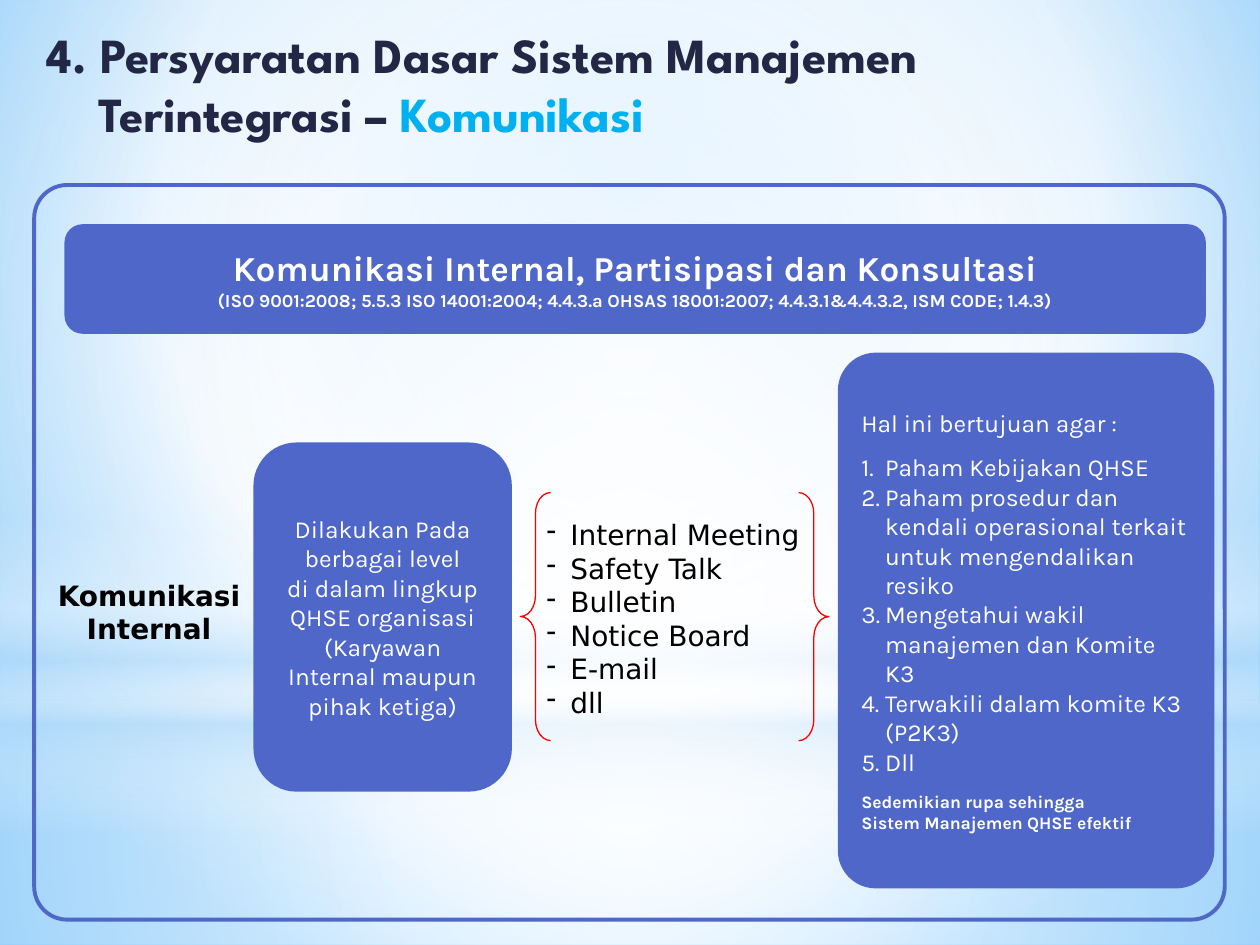
from lxml import etree
from pptx import Presentation
from pptx.dml.color import RGBColor
from pptx.enum.shapes import MSO_SHAPE
from pptx.enum.text import MSO_ANCHOR, MSO_AUTO_SIZE, PP_ALIGN
from pptx.oxml import parse_xml
from pptx.oxml.ns import nsdecls, qn
from pptx.util import Cm, Pt

RECTANGLE, OVAL = MSO_SHAPE.RECTANGLE, MSO_SHAPE.OVAL
ROUNDED, BRACE = MSO_SHAPE.ROUNDED_RECTANGLE, MSO_SHAPE.LEFT_BRACE
LEFT, CENTER = PP_ALIGN.LEFT, PP_ALIGN.CENTER
TOP, MIDDLE = MSO_ANCHOR.TOP, MSO_ANCHOR.MIDDLE
GROW = MSO_AUTO_SIZE.SHAPE_TO_FIT_TEXT

INDIGO = RGBColor(0x4E, 0x67, 0xC8)
NAVY = RGBColor(0x21, 0x27, 0x45)
CYAN = RGBColor(0x00, 0xB0, 0xF0)
RED = RGBColor(0xFF, 0x00, 0x00)
WHITE = RGBColor(0xFF, 0xFF, 0xFF)
BLACK = RGBColor(0x00, 0x00, 0x00)
PALE = RGBColor(0xB4, 0xDC, 0xFA)
SKY = RGBColor(0x9E, 0xD5, 0xFF)
AZURE = RGBColor(0x5B, 0xB9, 0xFF)

HEADING = {"name": "League Spartan", "size": Pt(28), "bold": True}
PANEL = {"name": "Karla", "size": Pt(14), "bold": False}
BANNER = PANEL | {"size": Pt(20), "bold": True}
CLAUSES = BANNER | {"size": Pt(10.5)}
CLOSING = BANNER | {"size": Pt(10)}
PLAIN = {"name": "DejaVu Sans", "size": Pt(16), "bold": False}
LABEL = PLAIN | {"bold": True}

DASH = ("a:buChar", {"char": "-"})
NUMBER = ("a:buAutoNum", {"type": "arabicPeriod"})
HANGING = Cm(0.48)
SECTION_GAP = Pt(8.4)

CENTERED = (50, 50, 50, 50)
BACKDROP = [
    (RECTANGLE, (0, 14.17, 25.4, 4.88),
     [(0, WHITE, 91), (37, WHITE, 76), (100, PALE, 79)], CENTERED),
    (RECTANGLE, (0, 0, 25.4, 14.17),
     [(0, WHITE, 89), (48, WHITE, 62), (100, PALE, 79)], CENTERED),
    (RECTANGLE, (0, 10.46, 25.4, 6.35),
     [(0, WHITE, 0), (29, WHITE, 30), (45, PALE, 40), (55, WHITE, 26),
      (65, PALE, 60), (100, WHITE, 0)], None),
    (OVAL, (0, 4.45, 25.4, 14.17),
     [(0, WHITE, 100), (56, WHITE, 0)], CENTERED),
]

LEVELS = ["Dilakukan Pada", "berbagai level", "di dalam lingkup",
          "QHSE organisasi", "(Karyawan", "Internal maupun", "pihak ketiga)"]
MEDIA = ["Internal Meeting", "Safety Talk", "Bulletin", "Notice Board", "E-mail", "dll"]
GOALS = ["Paham Kebijakan QHSE",
         "Paham prosedur dan kendali operasional terkait untuk mengendalikan resiko",
         "Mengetahui wakil manajemen dan Komite K3",
         "Terwakili dalam komite K3 (P2K3)", "Dll"]


def set_gradient(holder, stops, focus):
    stop_xml = "".join(
        f'<a:gs pos="{position * 1000}"><a:srgbClr val="{color}">'
        f'<a:alpha val="{opacity * 1000}"/></a:srgbClr></a:gs>'
        for position, color, opacity in stops)
    if focus:
        sides = " ".join(f'{side}="{value * 1000}"' for side, value in zip("ltrb", focus))
        direction = f'<a:path path="circle"><a:fillToRect {sides}/></a:path>'
    else:
        direction = '<a:lin ang="5400000" scaled="0"/>'
    gradient = parse_xml(f'<a:gradFill {nsdecls("a")} rotWithShape="1">'
                         f'<a:gsLst>{stop_xml}</a:gsLst>{direction}</a:gradFill>')
    holder.replace(holder.find(qn("a:noFill")), gradient)


def add_outline(slide, preset, box, adjustments=(), fill=None, line=None, width=0):
    shape = slide.shapes.add_shape(preset, *map(Cm, box))
    shape.shadow.inherit = False
    for index, value in enumerate(adjustments):
        shape.adjustments[index] = value
    if fill is None:
        shape.fill.background()
    else:
        shape.fill.solid()
        shape.fill.fore_color.rgb = fill
    if line is None:
        shape.line.fill.background()
    else:
        shape.line.color.rgb = line
        shape.line.width = Pt(width)
    return shape


def add_backdrop(slide):
    slide.background.fill.background()
    set_gradient(slide.element.find(".//" + qn("p:bgPr")),
                 [(0, SKY, 100), (60, WHITE, 100), (100, AZURE, 100)], (20, 10, 20, 60))
    layout_tree = slide.slide_layout.shapes.element
    for index, (preset, box, stops, focus) in enumerate(BACKDROP):
        layer = add_outline(slide, preset, box).element
        set_gradient(layer.spPr, stops, focus)
        layer.nvSpPr.cNvPr.set("id", str(101 + index))
        layout_tree.insert(2 + index, layer)


def set_frame(frame, **values):
    for key, value in values.items():
        setattr(frame, key, value)


def add_run(paragraph, words, style, color):
    run = paragraph.add_run()
    run.text = words
    for key, value in style.items():
        setattr(run.font, key, value)
    run.font.color.rgb = color


def add_lines(frame, lines, style, color, align=LEFT, bullet=None, gap=None):
    for index, words in enumerate(lines):
        paragraph = frame.paragraphs[0] if not frame.text else frame.add_paragraph()
        paragraph.alignment = align
        if gap and index == 0:
            paragraph.space_before = gap
        if bullet:
            tag, attributes = bullet
            properties = paragraph._p.get_or_add_pPr()
            properties.set("marL", str(HANGING))
            properties.set("indent", str(-HANGING))
            etree.SubElement(properties, qn(tag), attributes)
        add_run(paragraph, words, style, color)


def add_panel(slide, box, corner, wrap):
    frame = add_outline(slide, ROUNDED, box, [corner], fill=INDIGO).text_frame
    set_frame(frame, word_wrap=wrap, vertical_anchor=MIDDLE)
    return frame


def add_text(slide, box, wrap):
    frame = slide.shapes.add_textbox(*map(Cm, box)).text_frame
    set_frame(frame, word_wrap=wrap, auto_size=GROW)
    return frame


def set_title(slide):
    title = slide.shapes.title
    title.left, title.top, title.width, title.height = map(Cm, (0.69, 0.36, 20.55, 2.9))
    frame = title.text_frame
    set_frame(frame, word_wrap=False, vertical_anchor=TOP, auto_size=MSO_AUTO_SIZE.NONE)
    add_lines(frame, ["4. Persyaratan Dasar Sistem Manajemen", "Terintegrasi – "],
              HEADING, NAVY)
    topic = frame.paragraphs[1]
    topic._p.get_or_add_pPr().set("marL", str(Cm(1.05)))
    add_run(topic, "Komunikasi", HEADING, CYAN)


def main():
    deck = Presentation()
    deck.slide_width, deck.slide_height = Cm(25.4), Cm(19.05)
    slide = deck.slides.add_slide(deck.slide_layouts[5])
    add_backdrop(slide)
    set_title(slide)

    banner = add_panel(slide, (1.3, 4.52, 23.01, 2.21), 0.167, False)
    add_lines(banner, ["Komunikasi Internal, Partisipasi dan Konsultasi"],
              BANNER, WHITE, CENTER)
    add_lines(banner, ["(ISO 9001:2008; 5.5.3 ISO 14001:2004; 4.4.3.a OHSAS 18001:2007; "
                       "4.4.3.1&4.4.3.2, ISM CODE; 1.4.3)"], CLAUSES, WHITE, CENTER)

    label = add_text(slide, (0.3, 11.53, 5.41, 1.75), True)
    add_lines(label, ["Komunikasi", "Internal"], LABEL, BLACK, CENTER)

    levels = add_panel(slide, (5.11, 8.92, 5.21, 7.04), 0.167, False)
    add_lines(levels, LEVELS, PANEL, WHITE, CENTER)

    media = add_text(slide, (10.77, 10.31, 5.74, 5.87), False)
    add_lines(media, MEDIA, PLAIN, BLACK, bullet=DASH)
    for left, rotation in ((10.49, 0), (16.1, 180)):
        brace = add_outline(slide, BRACE, (left, 9.93, 0.61, 5), (0.69, 0.5),
                            line=RED, width=0.75)
        brace.rotation = rotation

    goals = add_panel(slide, (16.89, 7.11, 7.59, 10.8), 0.101, True)
    add_lines(goals, ["Hal ini bertujuan agar :"], PANEL, WHITE)
    add_lines(goals, GOALS, PANEL, WHITE, bullet=NUMBER, gap=SECTION_GAP)
    add_lines(goals, ["Sedemikian rupa sehingga", "Sistem Manajemen QHSE efektif"],
              CLOSING, WHITE, gap=SECTION_GAP)

    add_outline(slide, ROUNDED, (0.69, 3.73, 24, 14.81), [0.045], line=INDIGO, width=2.25)
    deck.save("out.pptx")


if __name__ == "__main__":
    main()
